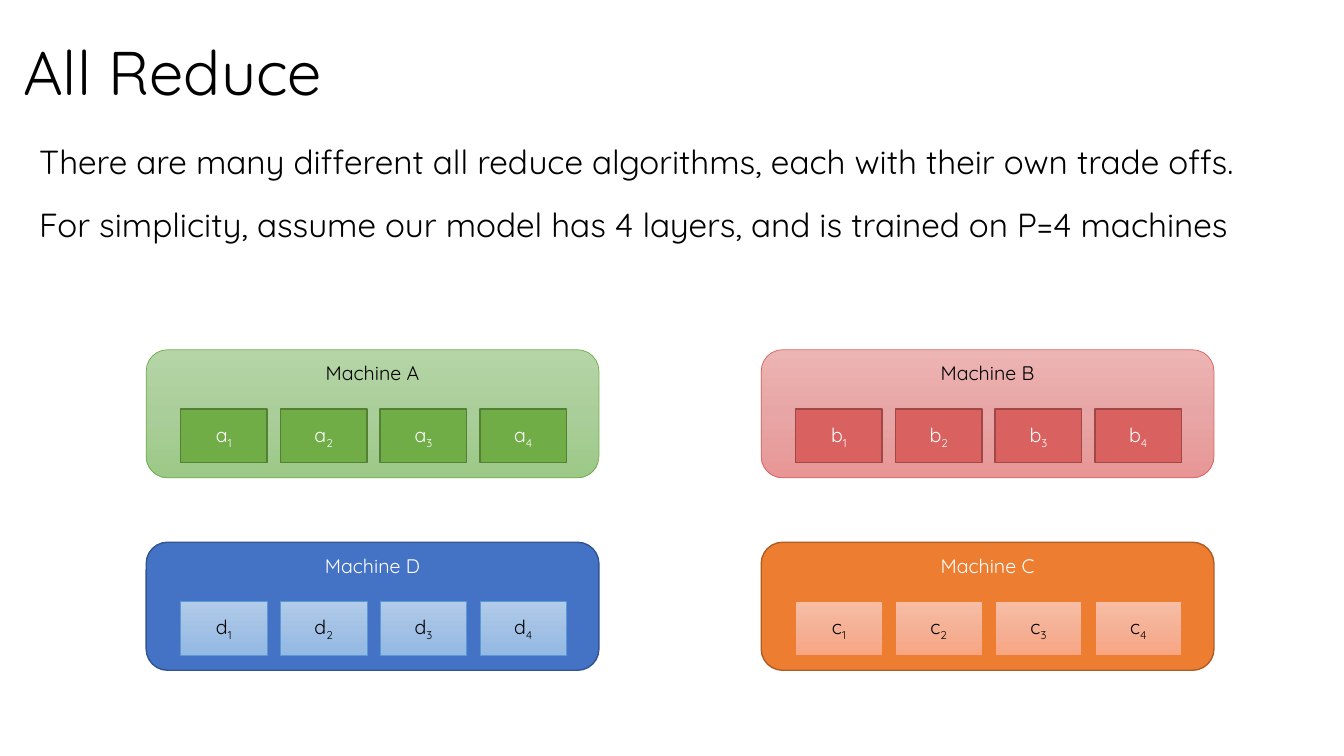
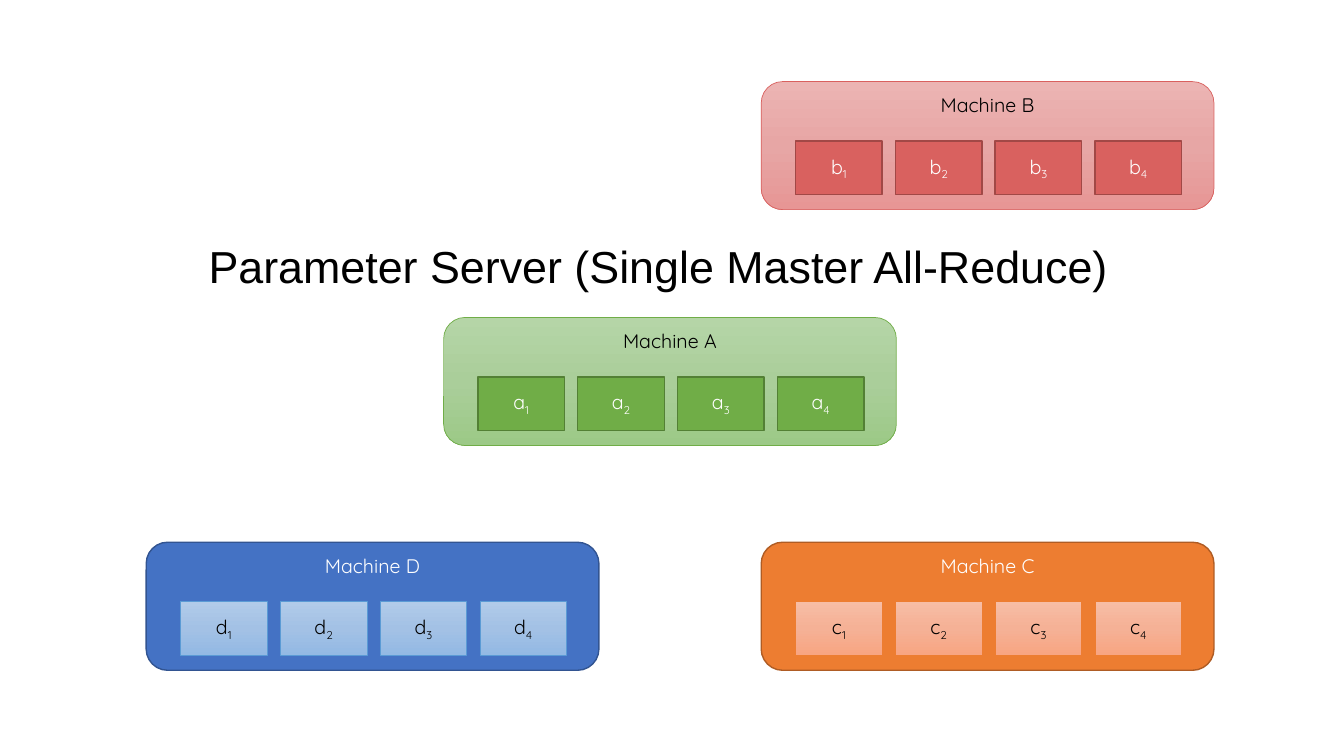
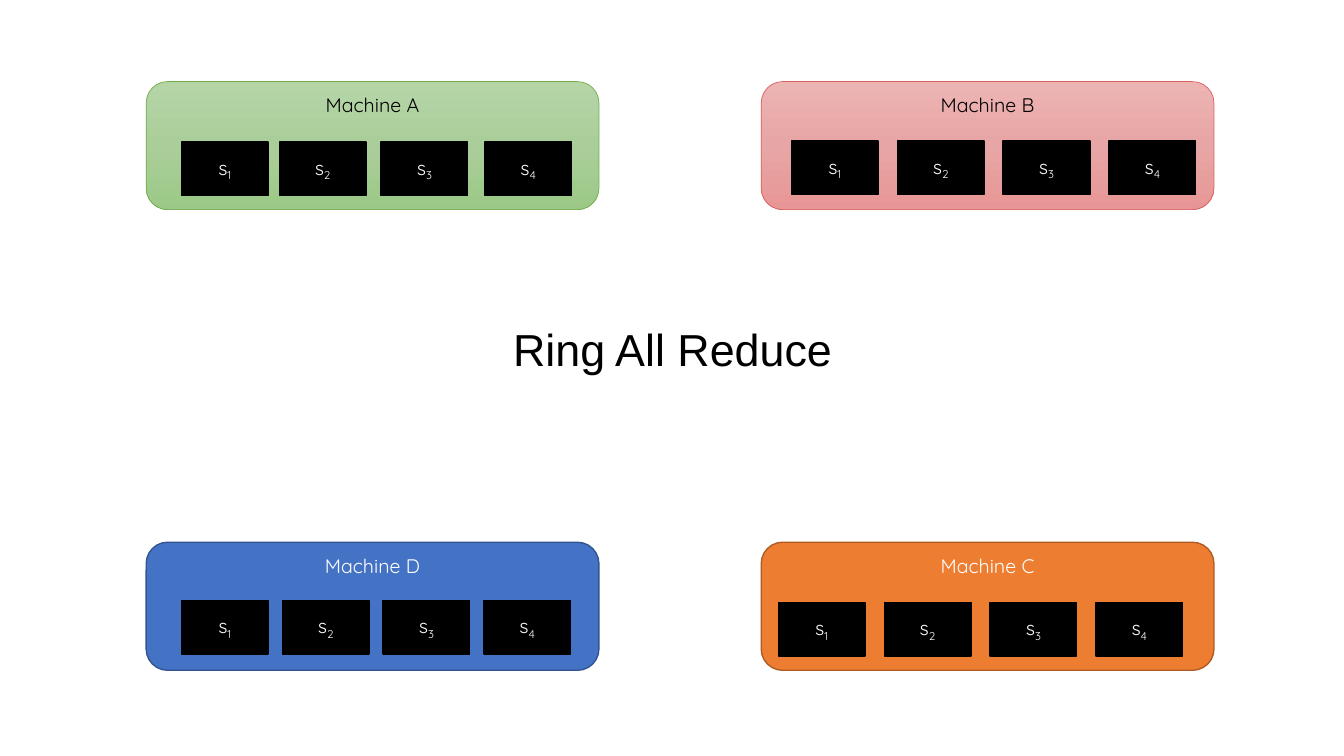
import copy

import pptx
import pptx.dml.color
import pptx.enum.shapes
import pptx.enum.text
import pptx.util

Inches, Pt = pptx.util.Inches, pptx.util.Pt
SHAPE = pptx.enum.shapes.MSO_SHAPE
ALIGN = pptx.enum.text.PP_ALIGN
ANCHOR = pptx.enum.text.MSO_ANCHOR
AUTO_SIZE = pptx.enum.text.MSO_AUTO_SIZE

BLACK, WHITE = "000000", "FFFFFF"

# Each style: fill (one colour or gradient stops), line colour, line width, text colour
MACHINES = {
    "A": (("B5D5A7", "AACE9A", "9CC987"), "70AD47", 0.5, BLACK),
    "B": (("ECB4B3", "E7A6A5", "E79695"), "D9615F", 0.5, BLACK),
    "C": ("ED7D31", "AF5C24", 1, WHITE),
    "D": ("4472C4", "325491", 1, WHITE),
}
CELLS = {
    "a": ("70AD47", "538035", 1, WHITE),
    "b": ("D9615F", "A14846", 1, WHITE),
    "c": (("F7BDA5", "F5B196", "F8A582"), "ED7D31", 0.5, BLACK),
    "d": (("B1CBE9", "A3C1E5", "93B9E4"), "5B9BD5", 0.5, BLACK),
    "s": (BLACK, BLACK, 1, WHITE),
}
LEFT, RIGHT = 1.45, 7.55
TOP, BOTTOM = 0.81, 5.38


def rgb(color):
    return pptx.dml.color.RGBColor.from_string(color)


def spaced(left, pitch):
    """Left edges of four layer cells at an equal pitch."""
    return [left + i * pitch for i in range(4)]


class Deck:
    font = "Quicksand"
    machine_size = (4.49, 1.27)
    cell_size = (0.86, 0.53)
    cell_pitch = 0.99
    cell_offset = (0.34, 0.59)

    def __init__(self):
        self.prs = pptx.Presentation()
        self.prs.slide_width = Inches(13.33)
        self.prs.slide_height = Inches(7.5)
        self.s = None

    def slide(self):
        self.s = self.prs.slides.add_slide(self.prs.slide_layouts[6])

    def run(self, p, text, size, color, font=None):
        r = p.add_run()
        r.text = text
        values = {"name": font or self.font, "size": Pt(size)}
        for name, value in values.items():
            setattr(r.font, name, value)
        r.font.color.rgb = rgb(color)
        return r

    def paint(self, sp, fill, line, width):
        if isinstance(fill, str):
            sp.fill.solid()
            sp.fill.fore_color.rgb = rgb(fill)
        else:
            sp.fill.gradient()
            sp.fill.gradient_angle = 270
            first = sp._element.spPr.xpath("./a:gradFill/a:gsLst/a:gs")[0]
            first.addnext(copy.deepcopy(first))
            for i, (stop, color) in enumerate(zip(sp.fill.gradient_stops, fill)):
                stop.color.rgb = rgb(color)
                stop.position = i / 2
        sp.line.color.rgb = rgb(line)
        sp.line.width = Pt(width)

    def block(self, kind, left, top, size, style, text, anchor):
        """Add a painted shape with centred text and return its paragraph."""
        *look, color = style
        sp = self.s.shapes.add_shape(kind, *map(Inches, (left, top, *size)))
        sp.shadow.inherit = False
        self.paint(sp, *look)
        sp.text_frame.vertical_anchor = anchor
        p = sp.text_frame.paragraphs[0]
        p.alignment = ALIGN.CENTER
        self.run(p, text, 14, color)
        return p

    def cells(self, letter, lefts, top):
        style = CELLS[letter]
        for i, left in enumerate(lefts, 1):
            p = self.block(SHAPE.RECTANGLE, left, top, self.cell_size, style,
                           letter, ANCHOR.MIDDLE)
            r = self.run(p, str(i), 14, style[-1])
            r.font._element.set("baseline", "-25000")

    def machine(self, name, left, top, layers=True):
        self.block(SHAPE.ROUNDED_RECTANGLE, left, top, self.machine_size,
                   MACHINES[name], f"Machine {name}", ANCHOR.TOP)
        if layers:
            dx, dy = self.cell_offset
            self.cells(name.lower(), spaced(left + dx, self.cell_pitch), top + dy)

    def text(self, left, top, width, height, lines, size, font=None,
             anchor=ANCHOR.TOP, wrap=True, spacing=1.0, before=0, indent=0):
        box = self.s.shapes.add_textbox(*map(Inches, (left, top, width, height)))
        tf = box.text_frame
        tf.word_wrap = wrap
        tf.auto_size = AUTO_SIZE.NONE if wrap else AUTO_SIZE.SHAPE_TO_FIT_TEXT
        tf.vertical_anchor = anchor
        for i, line in enumerate(lines):
            p = tf.add_paragraph() if i else tf.paragraphs[0]
            p.line_spacing = spacing
            p.space_before = Pt(before if i else 0)
            p._p.get_or_add_pPr().set("marL", str(Inches(indent)))
            self.run(p, line, size, BLACK, font)

    def caption(self, left, top, width, text):
        self.text(left, top, width, 0.64, [text], 32, font="Arial", wrap=False)


def main():
    deck = Deck()

    deck.slide()
    deck.text(0.13, 0.02, 11.81, 1.45, ["All Reduce"], 44,
              anchor=ANCHOR.MIDDLE, spacing=0.9)
    deck.text(0.27, 1.43, 12.71, 1.45, [
        "There are many different all reduce algorithms, each with their own trade offs.",
        "For simplicity, assume our model has 4 layers, and is trained on P=4 machines",
    ], 23.8, spacing=0.8, before=22, indent=0.02)
    deck.machine("A", LEFT, 3.47)
    deck.machine("B", RIGHT, 3.47)
    deck.machine("D", LEFT, BOTTOM)
    deck.machine("C", RIGHT, BOTTOM)

    deck.slide()
    deck.machine("A", 4.4, 3.15)
    deck.machine("B", RIGHT, TOP)
    deck.machine("D", LEFT, BOTTOM)
    deck.machine("C", RIGHT, BOTTOM)
    deck.caption(1.97, 2.32, 9.22, "Parameter Server (Single Master All-Reduce)")

    deck.slide()
    for name, left, top, lefts, cell_top in (
        ("A", LEFT, TOP, (1.8, 2.77, 3.78, 4.81), 1.41),
        ("B", RIGHT, TOP, spaced(7.85, 1.05), 1.4),
        ("D", LEFT, BOTTOM, spaced(1.8, 1), 5.96),
        ("C", RIGHT, BOTTOM, spaced(7.72, 1.05), 5.98),
    ):
        deck.machine(name, left, top, layers=False)
        deck.cells("s", lefts, cell_top)
    deck.caption(4.99, 3.14, 3.62, "Ring All Reduce")

    deck.prs.save("out.pptx")


if __name__ == "__main__":
    main()
